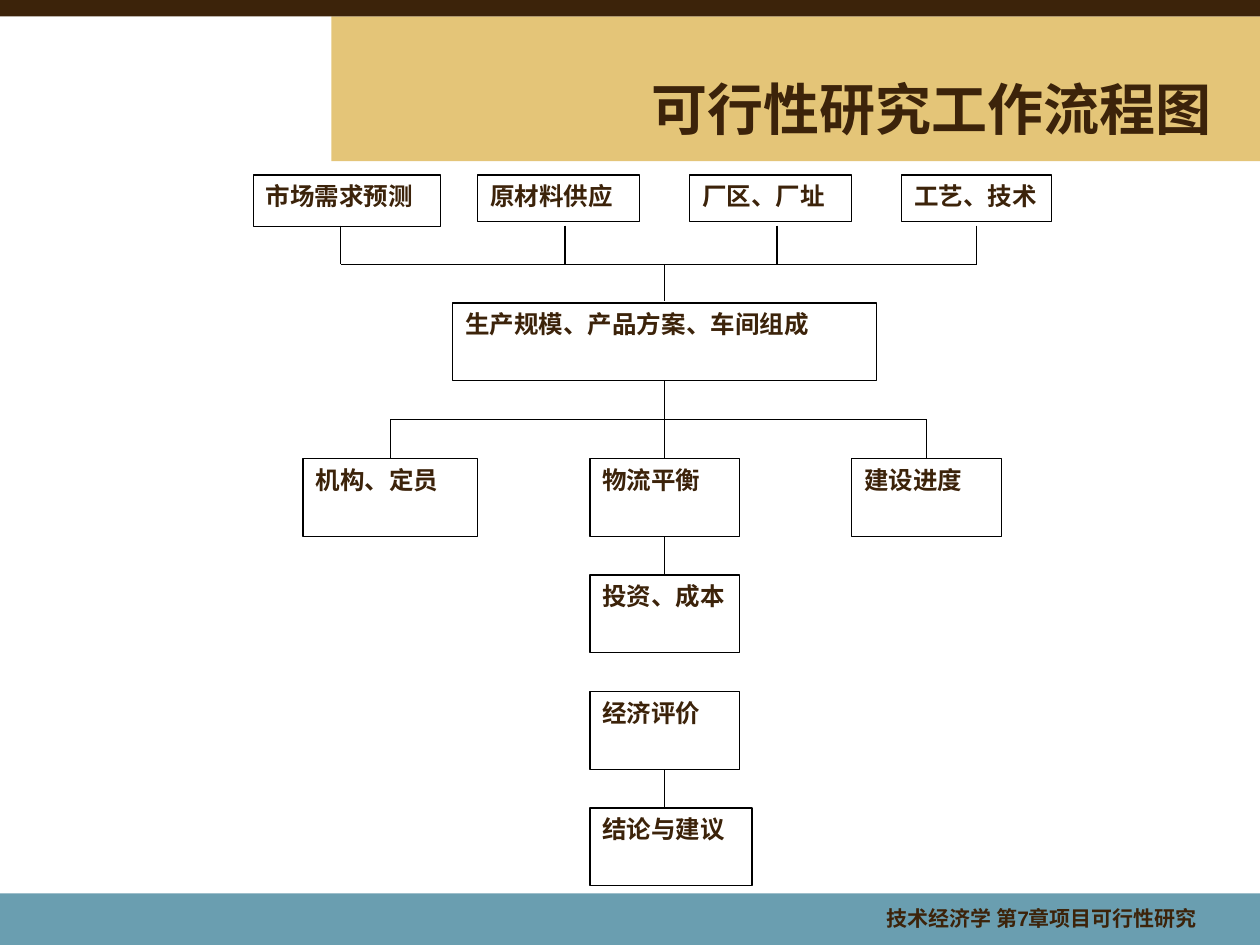
from pptx import Presentation
from pptx.dml.color import RGBColor
from pptx.enum import shapes, text
from pptx.oxml.ns import qn
from pptx.util import Inches, Pt
from lxml import etree

BROWN = RGBColor(0x3C, 0x23, 0x0A)
GOLD = RGBColor(0xE4, 0xC5, 0x78)
TEAL = RGBColor(0x6A, 0x9E, 0xB0)
BLACK = RGBColor(0, 0, 0)

WIDTH, HEIGHT = 10, 7.5
LEFT, TOP = 2.01, 1.79            # grid origin: first box, foot of first row
COLUMN, ROW = 5.74 / 58, 5.24 / 17

# Bands: left, top, width, height, fill
BANDS = [
    (2.63, 0.13, 7.37, 1.15, GOLD),
    (0, 7.09, WIDTH, 0.41, TEAL),
    (0, 0, WIDTH, 0.13, BROWN),
]

# Headings: wording, place, right inset, size, anchor
HEADINGS = [
    ("技术经济学 第7章项目可行性研究", (6.18, 7.14, 3.46, 0.33), 0.14, 12,
     text.MSO_ANCHOR.TOP),
    ("可行性研究工作流程图", (2.92, 0.55, 6.92, 0.62), 0.22, 32,
     text.MSO_ANCHOR.MIDDLE),
]

# Steps: wording, then column, row, columns wide, rows high
STEPS = [
    ("市场需求预测", 0, -1.3, 15, 1.33),
    ("原材料供应", 18, -1.3, 13, 1.2),
    ("厂区、厂址", 35, -1.3, 13, 1.2),
    ("工艺、技术", 52, -1.3, 12, 1.2),
    ("生产规模、产品方案、车间组成", 16, 2, 34, 2),
    ("机构、定员", 4, 6, 14, 2),
    ("物流平衡", 27, 6, 12, 2),
    ("建设进度", 48, 6, 12, 2),
    ("投资、成本", 27, 9, 12, 2),
    ("经济评价", 27, 12, 12, 2),
    ("结论与建议", 27, 15, 13, 2),
]

# Links in grid units: (column, first row, last row) and (row, first column, last column)
TRUNK = 33
UPRIGHTS = [(column, 0, 1) for column in (7, 25, 42, 58)]
UPRIGHTS += [(column, 5, 6) for column in (11, 54)]
UPRIGHTS += [(TRUNK, 1, 1.95), (TRUNK, 4, 6), (TRUNK, 8, 9), (TRUNK, 14, 15)]
CROSSBARS = [(1, 7, 58), (5, 11, 54)]


def across(column):
    return Inches(LEFT + column * COLUMN)


def down(row):
    return Inches(TOP + row * ROW)


def add_rectangle(page, place, fill=None):
    box = page.shapes.add_shape(shapes.MSO_SHAPE.RECTANGLE, *place)
    box.shadow.inherit = False
    if fill is None:
        box.fill.background()
        box.line.color.rgb = BLACK
        box.line.width = Pt(0.75)
    else:
        box.fill.solid()
        box.fill.fore_color.rgb = fill
        box.line.fill.background()
    return box


def write(box, wording, size, font, align, anchor, right=0.1):
    frame = box.text_frame
    settings = {
        "word_wrap": True, "vertical_anchor": anchor,
        "margin_left": Inches(0.1), "margin_right": Inches(right),
        "margin_top": Inches(0.05), "margin_bottom": Inches(0.05),
    }
    for name, value in settings.items():
        setattr(frame, name, value)
    para = frame.paragraphs[0]
    para.alignment = align
    span = para.add_run()
    span.text = wording
    for name, value in {"name": font, "size": Pt(size), "bold": True}.items():
        setattr(span.font, name, value)
    span.font.color.rgb = BROWN


def add_link(page, start, end):
    link = page.shapes.add_connector(
        shapes.MSO_CONNECTOR.STRAIGHT,
        across(start[0]), down(start[1]), across(end[0]), down(end[1]))
    link.line.color.rgb = BLACK
    link.line.width = Pt(0.75)
    etree.SubElement(link._element.spPr, qn("a:effectLst"))


def main():
    deck = Presentation()
    deck.slide_width, deck.slide_height = Inches(WIDTH), Inches(HEIGHT)
    page = deck.slides.add_slide(deck.slide_layouts[6])

    # Background bands
    for *place, fill in BANDS:
        add_rectangle(page, map(Inches, place), fill)

    # Title and footer
    for wording, place, right, size, anchor in HEADINGS:
        box = page.shapes.add_textbox(*map(Inches, place))
        write(box, wording, size, "Arial", text.PP_ALIGN.RIGHT, anchor, right)

    # Flow chart boxes
    for wording, column, row, wide, high in STEPS:
        place = (across(column), down(row), Inches(wide * COLUMN), Inches(high * ROW))
        write(add_rectangle(page, place), wording, 14, "Times New Roman",
              text.PP_ALIGN.JUSTIFY, text.MSO_ANCHOR.TOP)

    # Links between the boxes
    for column, first, last in UPRIGHTS:
        add_link(page, (column, first), (column, last))
    for row, first, last in CROSSBARS:
        add_link(page, (first, row), (last, row))

    deck.save("out.pptx")


if __name__ == "__main__":
    main()
